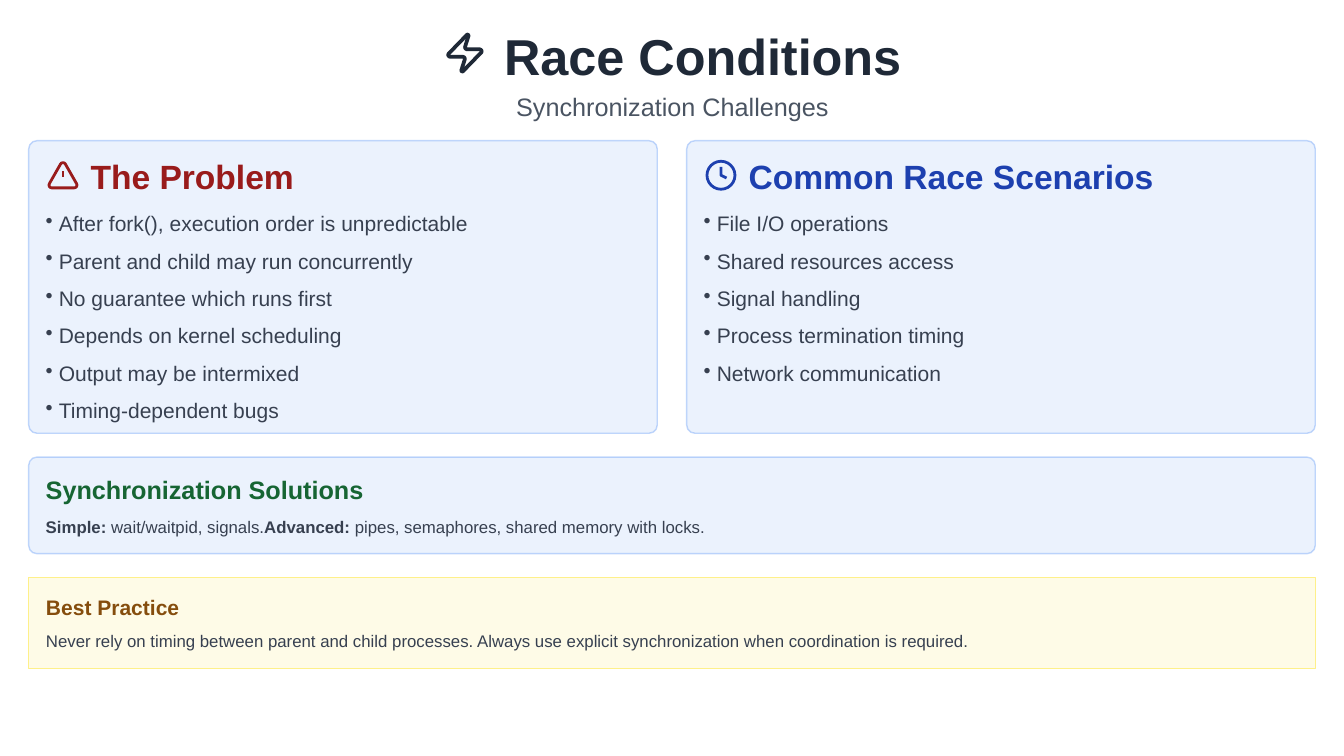
from dataclasses import dataclass

from lxml import etree
from pptx import Presentation
from pptx.dml.color import RGBColor
from pptx.enum.shapes import MSO_SHAPE
from pptx.enum.text import MSO_ANCHOR, MSO_AUTO_SIZE, PP_ALIGN
from pptx.oxml.ns import qn
from pptx.util import Pt

ROUNDED = MSO_SHAPE.ROUNDED_RECTANGLE
RECT = MSO_SHAPE.RECTANGLE
OVAL = MSO_SHAPE.OVAL
TOP = MSO_ANCHOR.TOP
LEFT = PP_ALIGN.LEFT
NO_FIT = MSO_AUTO_SIZE.NONE


@dataclass(frozen=True)
class Theme:
    font: str = "Arial"
    ink: str = "1F2937"
    muted: str = "4A5462"
    body: str = "374050"
    red: str = "991B1B"
    blue: str = "1D40AF"
    green: str = "166533"
    brown: str = "854D0D"
    panel: str = "3B81F5"
    cream: str = "FEFBE7"
    yellow: str = "FEF08A"
    title: float = 54
    heading: float = 36
    subhead: float = 27
    bullet: float = 22.5
    small: float = 18


T = Theme()
MARGIN, GUTTER, PAD = 30, 30, 18
SLIDE_W, SLIDE_H = 1440, 810
CARD_Y, CARD_H = 150, 315
CARD_W = (SLIDE_W - 2 * MARGIN - GUTTER) / 2
FULL_W = SLIDE_W - 2 * MARGIN

BOLT = [(4, 14), (3.3, 13.65), (3, 13), (3.22, 12.37), (13.12, 2.17),
        (13.6, 2.05), (13.98, 2.63), (12.06, 8.65), (12.2, 9.6), (13, 10),
        (20, 10), (20.7, 10.35), (21, 11), (20.78, 11.63), (10.88, 21.83),
        (10.4, 21.95), (10.02, 21.37), (11.94, 15.35), (11.8, 14.4), (11, 14)]
TRIANGLE = [(21.73, 18), (13.73, 4), (13.1, 3.25), (12, 3), (10.9, 3.25),
            (10.27, 4), (2.27, 18), (2, 19), (2.3, 20.1), (3, 20.7), (4, 21),
            (20, 21), (21, 20.7), (21.73, 20), (22, 19)]
TICK = [(12, 9), (12, 13)]
HANDS = [(12, 6), (12, 12), (16, 14)]

PROBLEMS = ["After fork(), execution order is unpredictable",
            "Parent and child may run concurrently",
            "No guarantee which runs first",
            "Depends on kernel scheduling",
            "Output may be intermixed",
            "Timing-dependent bugs"]
SCENARIOS = ["File I/O operations", "Shared resources access",
             "Signal handling", "Process termination timing",
             "Network communication"]


def rgb(color):
    return RGBColor.from_string(color)


def set_alpha(fill_element, percent):
    color = fill_element.find(qn("a:srgbClr"))
    etree.SubElement(color, qn("a:alpha")).set("val", str(percent * 1000))


def prepare_frame(tf, inset=(0, 0)):
    tf.word_wrap = True
    tf.auto_size = NO_FIT
    tf.vertical_anchor = TOP
    tf.margin_left, tf.margin_top = Pt(inset[0]), Pt(inset[1])
    tf.margin_right = tf.margin_bottom = 0
    return tf


def add_paragraph(tf, runs, size, color, before=0, margin=0, bullet=False):
    p = tf.paragraphs[0] if not tf.paragraphs[0].runs else tf.add_paragraph()
    p.alignment = LEFT
    pPr = p._p.get_or_add_pPr()
    pPr.set("marL", str(Pt(margin)))
    pPr.set("indent", str(Pt(-14 if bullet else 0)))
    if bullet:
        etree.SubElement(pPr, qn("a:buChar")).set("char", "•")
    p.space_before = Pt(before)
    for text, bold in runs:
        r = p.add_run()
        r.text = text
        r.font.name, r.font.size, r.font.bold = T.font, Pt(size), bold
        r.font.color.rgb = rgb(color)


def add_text_frame(s, x, y, w, h):
    box = s.shapes.add_textbox(Pt(x), Pt(y), Pt(w), Pt(h))
    return prepare_frame(box.text_frame)


def add_panel(s, x, y, w, h, radius=9):
    sp = s.shapes.add_shape(ROUNDED, Pt(x + 0.75), Pt(y + 0.75),
                            Pt(w - 1.5), Pt(h - 1.5))
    sp.shadow.inherit = False
    sp.adjustments[0] = radius / min(w, h)
    sp.fill.solid()
    sp.fill.fore_color.rgb = rgb(T.panel)
    sp.line.color.rgb = rgb(T.panel)
    sp.line.width = Pt(1.5)
    spPr = sp._element.spPr
    set_alpha(spPr.find(qn("a:solidFill")), 10)
    set_alpha(spPr.find(qn("a:ln")).find(qn("a:solidFill")), 30)


def style_outline(sp, color, width):
    sp.shadow.inherit = False
    sp.fill.background()
    sp.line.color.rgb = rgb(color)
    sp.line.width = Pt(width)
    etree.SubElement(sp._element.spPr.find(qn("a:ln")), qn("a:round"))


def add_outline(s, points, x, y, unit, color, width, close=False):
    placed = [((x + px * unit) * 100, (y + py * unit) * 100)
              for px, py in points]
    builder = s.shapes.build_freeform(*placed[0], scale=Pt(1) / 100)
    builder.add_line_segments(placed[1:], close=close)
    style_outline(builder.convert_to_shape(), color, width)


def add_warning_icon(s, x, y, color):
    add_outline(s, TRIANGLE, x, y, 1.5, color, 3, close=True)
    add_outline(s, TICK, x, y, 1.5, color, 3)


def add_clock_icon(s, x, y, color):
    sp = s.shapes.add_shape(OVAL, Pt(x + 3), Pt(y + 3), Pt(30), Pt(30))
    style_outline(sp, color, 3)
    add_outline(s, HANDS, x, y, 1.5, color, 3)


def add_title(s):
    title = s.shapes.title
    title.left, title.top = Pt(540), Pt(26.5)
    title.width, title.height = Pt(440), Pt(104)
    tf = prepare_frame(title.text_frame)
    add_paragraph(tf, [("Race Conditions", True)], T.title, T.ink)
    add_paragraph(tf, [("Synchronization Challenges", False)],
                  T.subhead, T.muted, before=6.5, margin=13)
    add_outline(s, BOLT, 474.2, 32.9, 2, T.ink, 4, close=True)


def add_card(s, x, heading, color, items, add_icon):
    add_panel(s, x, CARD_Y, CARD_W, CARD_H)
    add_icon(s, x + 19.5, CARD_Y + 19.8, color)
    tf = add_text_frame(s, x + PAD, CARD_Y + 17.2, CARD_W - 2 * PAD, 290)
    add_paragraph(tf, [(heading, True)], T.heading, color, margin=49)
    for i, item in enumerate(items):
        add_paragraph(tf, [(item, False)], T.bullet, T.body,
                      before=13.1 if i else 15.3, margin=15, bullet=True)


def add_solutions(s, y):
    add_panel(s, MARGIN, y, FULL_W, 105)
    tf = add_text_frame(s, MARGIN + PAD + 1, y + 19.3, FULL_W - 2 * PAD, 70)
    add_paragraph(tf, [("Synchronization Solutions", True)],
                  T.subhead, T.green)
    add_paragraph(tf, [("Simple: ", True), ("wait/waitpid, signals.", False),
                       ("Advanced: ", True),
                       ("pipes, semaphores, shared memory with locks.", False)],
                  T.small, T.body, before=12.6)


def add_best_practice(s, y):
    sp = s.shapes.add_shape(RECT, Pt(MARGIN + 0.75), Pt(y),
                            Pt(FULL_W - 1.5), Pt(97.5))
    sp.shadow.inherit = False
    sp.fill.solid()
    sp.fill.fore_color.rgb = rgb(T.cream)
    sp.line.color.rgb = rgb(T.yellow)
    sp.line.width = Pt(1.5)
    tf = prepare_frame(sp.text_frame, inset=(PAD + 0.5, 19))
    add_paragraph(tf, [("Best Practice", True)], T.bullet, T.brown)
    add_paragraph(tf, [("Never rely on timing between parent and child "
                        "processes. Always use explicit synchronization when "
                        "coordination is required.", False)],
                  T.small, T.body, before=11)


def main():
    prs = Presentation()
    prs.slide_width, prs.slide_height = Pt(SLIDE_W), Pt(SLIDE_H)
    s = prs.slides.add_slide(prs.slide_layouts[5])
    add_title(s)
    add_card(s, MARGIN, "The Problem", T.red, PROBLEMS, add_warning_icon)
    add_card(s, MARGIN + CARD_W + GUTTER, "Common Race Scenarios", T.blue,
             SCENARIOS, add_clock_icon)
    add_solutions(s, 489)
    add_best_practice(s, 618.5)
    prs.save("out.pptx")


if __name__ == "__main__":
    main()
